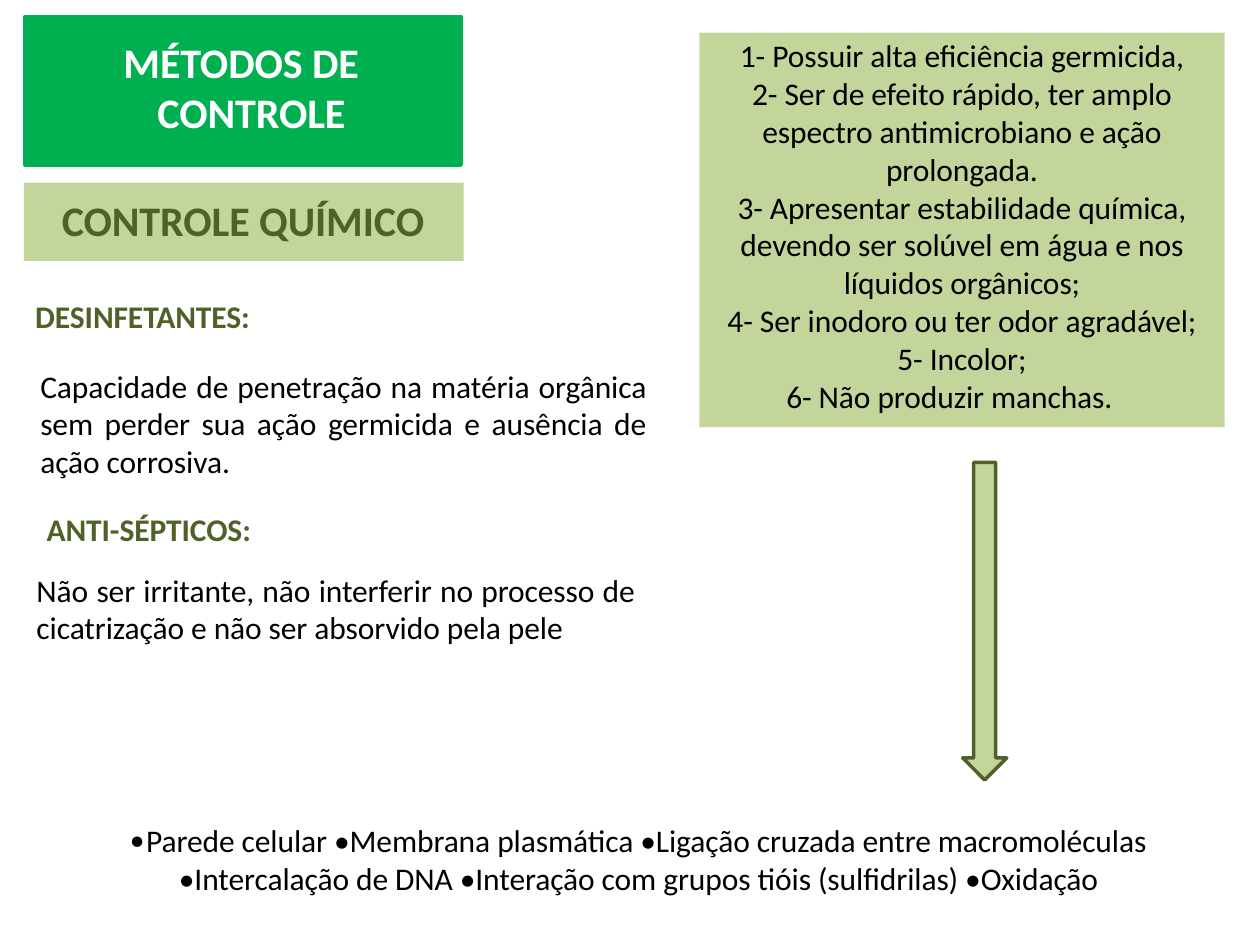
from dataclasses import dataclass

from lxml.etree import SubElement
from pptx import Presentation
from pptx.dml.color import RGBColor
from pptx.enum.shapes import MSO_SHAPE as Shape
from pptx.enum.text import PP_ALIGN as Align
from pptx.oxml.ns import qn
from pptx.util import Inches, Pt


@dataclass(frozen=True)
class Theme:
    font: str = "Calibri"
    heading: int = 24
    body: int = 18
    tracking: int = -5
    outline: int = 2
    green: str = "00AF50"
    pale: str = "C3D59B"
    dark: str = "4F6128"
    white: str = "FFFFFF"
    black: str = "000000"


THEME = Theme()
COLUMNS, ROWS = 100, 75


def write(para, text, size=THEME.body, color=THEME.black, bold=False, align=Align.LEFT,
          left=0, right=0, indent=0, before=0, bullet=None):
    """Fill a paragraph; margins are in inches, space before in points."""
    para.alignment = align
    para.space_before = Pt(before)
    properties = para._p.get_or_add_pPr()
    for name, length in (("marL", left), ("marR", right), ("indent", indent)):
        properties.set(name, str(Inches(length)))
    if bullet:
        SubElement(properties, qn("a:buSzPct"), val="94000")
        SubElement(properties, qn("a:buFont"), typeface=THEME.font)
        SubElement(properties, qn("a:buChar"), char=bullet)
    for number, line in enumerate(text.split("\n")):
        if number:
            para.add_line_break()
        span = para.add_run()
        span.text = line
        span.font.name = THEME.font
        span.font.size = Pt(size)
        span.font.bold = bold
        span.font.color.rgb = RGBColor.from_string(color)
        span._r.get_or_add_rPr().set("spc", str(THEME.tracking))


class SlideBuilder:
    def __init__(self, deck, theme):
        self.theme = theme
        self.column = deck.slide_width / COLUMNS
        self.row = deck.slide_height / ROWS
        self.slide = deck.slides.add_slide(deck.slide_layouts[6])

    def place(self, column, row, columns, rows):
        return (round(column * self.column), round(row * self.row),
                round(columns * self.column), round(rows * self.row))

    def shape(self, kind, cells, fill, line=None):
        shape = self.slide.shapes.add_shape(kind, *self.place(*cells))
        shape.shadow.inherit = False
        shape.fill.solid()
        shape.fill.fore_color.rgb = RGBColor.from_string(fill)
        if line:
            shape.line.color.rgb = RGBColor.from_string(line)
            shape.line.width = Pt(self.theme.outline)
        else:
            shape.line.fill.background()
        return shape

    def text(self, cells, *paragraphs, top=0.01):
        """Add a text box; each paragraph is a (text, format) pair."""
        box = self.slide.shapes.add_textbox(*self.place(*cells))
        frame = box.text_frame
        frame.word_wrap = True
        frame.margin_left = frame.margin_right = frame.margin_bottom = 0
        frame.margin_top = Inches(top)
        for number, (text, style) in enumerate(paragraphs):
            para = frame.add_paragraph() if number else frame.paragraphs[0]
            write(para, text, **style)

    def panel(self, cells, *paragraphs, top):
        self.shape(Shape.RECTANGLE, cells, self.theme.pale)
        self.text(cells, *paragraphs, top=top)


def main():
    deck = Presentation()
    deck.slide_width, deck.slide_height = Inches(10), Inches(7.5)
    page = SlideBuilder(deck, THEME)

    heading = dict(size=THEME.heading, bold=True)
    label = dict(color=THEME.dark, bold=True, before=1)
    centred = dict(align=Align.CENTER)
    justified = dict(align=Align.JUSTIFY, left=0.01)

    page.shape(Shape.RECTANGLE, (2, 1.3, 34.6, 11.8), THEME.green, THEME.green)
    page.text((9.7, 2.8, 19, 8.3), ("MÉTODOS DE\nCONTROLE", dict(
        heading, color=THEME.white, left=0.28, indent=-0.27, before=1)))
    page.panel((1.9, 14.5, 34.9, 6.2), ("CONTROLE QUÍMICO", dict(
        heading, color=THEME.dark, left=0.3, before=6.2)), top=0.09)

    page.text((2.7, 23.5, 17.4, 3.3), ("DESINFETANTES:", dict(label, left=0.01)))
    page.text((3.1, 29, 48.2, 9.3), (
        "Capacidade de penetração na matéria orgânica sem perder sua ação germicida "
        "e ausência de ação corrosiva.", dict(justified, before=1)))
    page.text(
        (2.8, 40.4, 48.3, 11.1),
        ("ANTI-SÉPTICOS:", dict(label, left=0.09)),
        ("Não ser irritante, não interferir no processo de cicatrização e não ser "
         "absorvido pela pele", dict(justified, right=0.07, before=12.8)))

    page.panel(
        (55.5, 2.6, 41.7, 31.3),
        ("1- Possuir alta eficiência germicida,\n2- Ser de efeito rápido, ter amplo\n"
         "espectro antimicrobiano e ação\nprolongada.", dict(centred, before=2.4)),
        ("3- Apresentar estabilidade química,\ndevendo ser solúvel em água e nos\n"
         "líquidos orgânicos;", centred),
        ("4- Ser inodoro ou ter odor agradável;\n5- Incolor;", centred),
        ("6- Não produzir manchas.", dict(centred, right=0.2)), top=0.03)
    page.shape(Shape.DOWN_ARROW, (76.4, 36.7, 3.5, 25.2), THEME.pale, THEME.dark)

    page.text(
        (10.2, 65.1, 81.7, 6.3),
        ("Parede celular •Membrana plasmática •Ligação cruzada entre macromoléculas",
         dict(left=0.14, indent=-0.13, before=1, bullet="•")),
        ("•Intercalação de DNA •Interação com grupos tióis (sulfidrilas) •Oxidação",
         dict(left=0.4)))

    deck.save("out.pptx")


if __name__ == "__main__":
    main()
